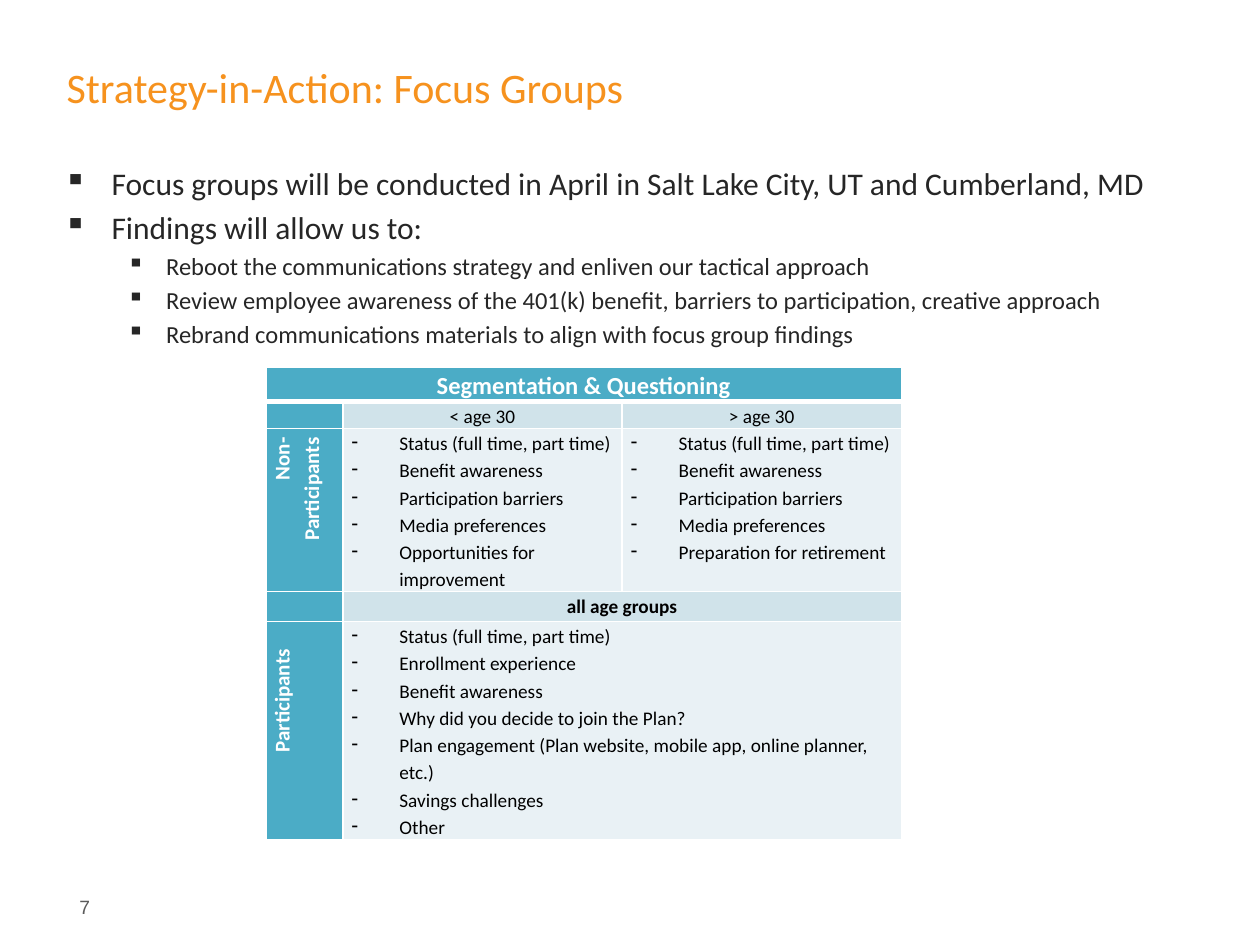
"""Build the focus groups slide with its segmentation table."""
import dataclasses
import typing

import lxml.etree
import pptx
import pptx.dml.color
import pptx.enum.text
import pptx.oxml.ns
import pptx.util

Cm = pptx.util.Cm
Pt = pptx.util.Pt
qn = pptx.oxml.ns.qn
ALIGN = pptx.enum.text.PP_ALIGN

COLORS = {
    "title": "F6921E", "body": "262626", "number": "5B5B5B", "white": "FFFFFF",
    "black": "000000", "teal": "4BACC6", "band": "D0E3EA", "pale": "E9F1F5",
}
COLUMN_WIDTHS = (1.55, 5.63, 5.63)
ROW_HEIGHTS = (0.7, 0.54, 3.29, 0.6, 4.39)


@dataclasses.dataclass
class Style:
    """Character formatting of a run."""
    size: float
    color: str
    bold: bool = False
    font: str = "Calibri"


@dataclasses.dataclass
class Bullet:
    """Bullet sign with its indents in centimetres."""
    char: str
    left: float
    hanging: float


@dataclasses.dataclass
class Entry:
    """One table cell, possibly spanning several columns."""
    row: int
    col: int
    fill: str
    lines: tuple[str, ...] = ()
    style: Style = dataclasses.field(default_factory=lambda: Style(11, "black"))
    align: typing.Any = ALIGN.CENTER
    bullet: typing.Optional[Bullet] = None
    span: int = 1
    vertical: bool = False
    end_margin: float = 0.18


DASH = Bullet("-", 0.96, 0.96)
LEVELS = (
    (Style(18, "body"), Bullet("▪", 0.96, 0.96)),
    (Style(14, "body"), Bullet("▪", 2.06, 0.79)),
)
BODY = (
    (0, "Focus groups will be conducted in April in Salt Lake City, UT and Cumberland, MD"),
    (0, "Findings will allow us to:"),
    (1, "Reboot the communications strategy and enliven our tactical approach"),
    (1, "Review employee awareness of the 401(k) benefit, barriers to participation, creative approach"),
    (1, "Rebrand communications materials to align with focus group findings"),
)
STATUS = "Status (full time, part time)"
AWARENESS = "Benefit awareness"
SHARED = (STATUS, AWARENESS, "Participation barriers", "Media preferences")
SIDE = Style(12, "white", True)


def topics(row: int, col: int, lines: tuple[str, ...], span: int = 1) -> Entry:
    """Describe a cell that lists discussion topics."""
    return Entry(row, col, "pale", lines, align=ALIGN.LEFT, bullet=DASH, span=span)


ENTRIES = (
    Entry(0, 0, "teal", ("Segmentation & Questioning",), Style(14, "white", True), span=3),
    Entry(1, 0, "teal"),
    Entry(1, 1, "band", ("< age 30",)),
    Entry(1, 2, "band", ("> age 30",)),
    Entry(2, 0, "teal", ("Non-Participants",), SIDE, ALIGN.RIGHT, vertical=True),
    topics(2, 1, SHARED + ("Opportunities for improvement",)),
    topics(2, 2, SHARED + ("Preparation for retirement",)),
    Entry(3, 0, "teal"),
    Entry(3, 1, "band", ("all age groups",), Style(11, "black", True), span=2),
    Entry(4, 0, "teal", ("Participants",), SIDE, ALIGN.RIGHT, vertical=True, end_margin=0.56),
    topics(4, 1, (
        STATUS, "Enrollment experience", AWARENESS,
        "Why did you decide to join the Plan?",
        "Plan engagement (Plan website, mobile app, online planner, etc.)",
        "Savings challenges", "Other",
    ), span=2),
)


def rgb(name: str) -> pptx.dml.color.RGBColor:
    """Return a palette colour."""
    return pptx.dml.color.RGBColor.from_string(COLORS[name])


def add_run(p: typing.Any, text: str, style: Style) -> None:
    """Add a formatted run to a paragraph."""
    r = p.add_run()
    r.text = text
    r.font.size = Pt(style.size)
    r.font.name = style.font
    r.font.bold = style.bold
    r.font.color.rgb = rgb(style.color)


def set_bullet(p: typing.Any, bullet: Bullet) -> None:
    """Give a paragraph a bullet and a hanging indent."""
    ppr = p._p.get_or_add_pPr()
    ppr.set("marL", str(Cm(bullet.left)))
    ppr.set("indent", str(-Cm(bullet.hanging)))
    lxml.etree.SubElement(ppr, qn("a:buChar")).set("char", bullet.char)


def paragraph(tf: typing.Any, index: int) -> typing.Any:
    """Return the first paragraph or append a new one."""
    return tf.add_paragraph() if index else tf.paragraphs[0]


def set_borders(cell: typing.Any, heavy_side: str) -> None:
    """Draw white borders, with one side heavier."""
    tcpr = cell._tc.get_or_add_tcPr()
    for side in ("L", "R", "T", "B"):
        ln = lxml.etree.SubElement(tcpr, qn(f"a:ln{side}"))
        ln.set("w", str(Pt(3 if side == heavy_side else 1)))
        fill = lxml.etree.SubElement(ln, qn("a:solidFill"))
        lxml.etree.SubElement(fill, qn("a:srgbClr")).set("val", COLORS["white"])


def fill_entry(table: typing.Any, entry: Entry) -> None:
    """Format and fill one table entry."""
    cells = [table.cell(entry.row, entry.col + i) for i in range(entry.span)]
    cell = cells[0]
    if entry.span > 1:
        cell.merge(cells[-1])
    for part in cells:
        set_borders(part, {0: "B", 1: "T"}.get(entry.row, ""))
        part.fill.solid()
        part.fill.fore_color.rgb = rgb(entry.fill)
        part.margin_left = Cm(0.18)
        part.margin_right = Cm(entry.end_margin)
        part.margin_top = part.margin_bottom = 0
        part.text_frame.paragraphs[0]._p.get_or_add_endParaRPr().set("sz", "1100")
    if entry.vertical:
        cell._tc.get_or_add_tcPr().set("vert", "vert270")
    for i, line in enumerate(entry.lines):
        p = paragraph(cell.text_frame, i)
        p.alignment = entry.align
        p.line_spacing = 1.15
        if entry.bullet:
            set_bullet(p, entry.bullet)
        add_run(p, line, entry.style)


def add_text_box(s: typing.Any, left: float, top: float, width: float, height: float) -> typing.Any:
    """Add a wrapping text box and return its text frame."""
    tf = s.shapes.add_textbox(Cm(left), Cm(top), Cm(width), Cm(height)).text_frame
    tf.word_wrap = True
    return tf


def add_title(s: typing.Any) -> None:
    """Place and fill the title."""
    sp = s.shapes.title
    sp.left, sp.top, sp.width, sp.height = Cm(1.09), Cm(0.15), Cm(22.86), Cm(3.18)
    tf = sp.text_frame
    tf.vertical_anchor = pptx.enum.text.MSO_ANCHOR.MIDDLE
    p = tf.paragraphs[0]
    p.alignment = ALIGN.LEFT
    add_run(p, "Strategy-in-Action: Focus Groups", Style(24, "title"))


def main() -> None:
    """Build and save the slide."""
    prs = pptx.Presentation()
    prs.slide_width, prs.slide_height = Cm(25.4), Cm(19.05)
    s = prs.slides.add_slide(prs.slide_layouts[5])
    add_title(s)

    tf = add_text_box(s, 1.04, 3.18, 22.43, 12.57)
    for i, (level, text) in enumerate(BODY):
        style, bullet = LEVELS[level]
        p = paragraph(tf, i)
        p.level = level
        p.space_before = Pt(style.size * 0.2)
        set_bullet(p, bullet)
        add_run(p, text, style)

    table = s.shapes.add_table(
        len(ROW_HEIGHTS), len(COLUMN_WIDTHS), Cm(5.36), Cm(7.4),
        Cm(sum(COLUMN_WIDTHS)), Cm(sum(ROW_HEIGHTS))).table
    for column, width in zip(table.columns, COLUMN_WIDTHS):
        column.width = Cm(width)
    for row, height in zip(table.rows, ROW_HEIGHTS):
        row.height = Cm(height)
    for entry in ENTRIES:
        fill_entry(table, entry)

    tf = add_text_box(s, 1.35, 17.93, 1.6, 1.17)
    add_run(tf.paragraphs[0], "7", Style(11, "number", font="Arial"))
    prs.save("out.pptx")


if __name__ == "__main__":
    main()
